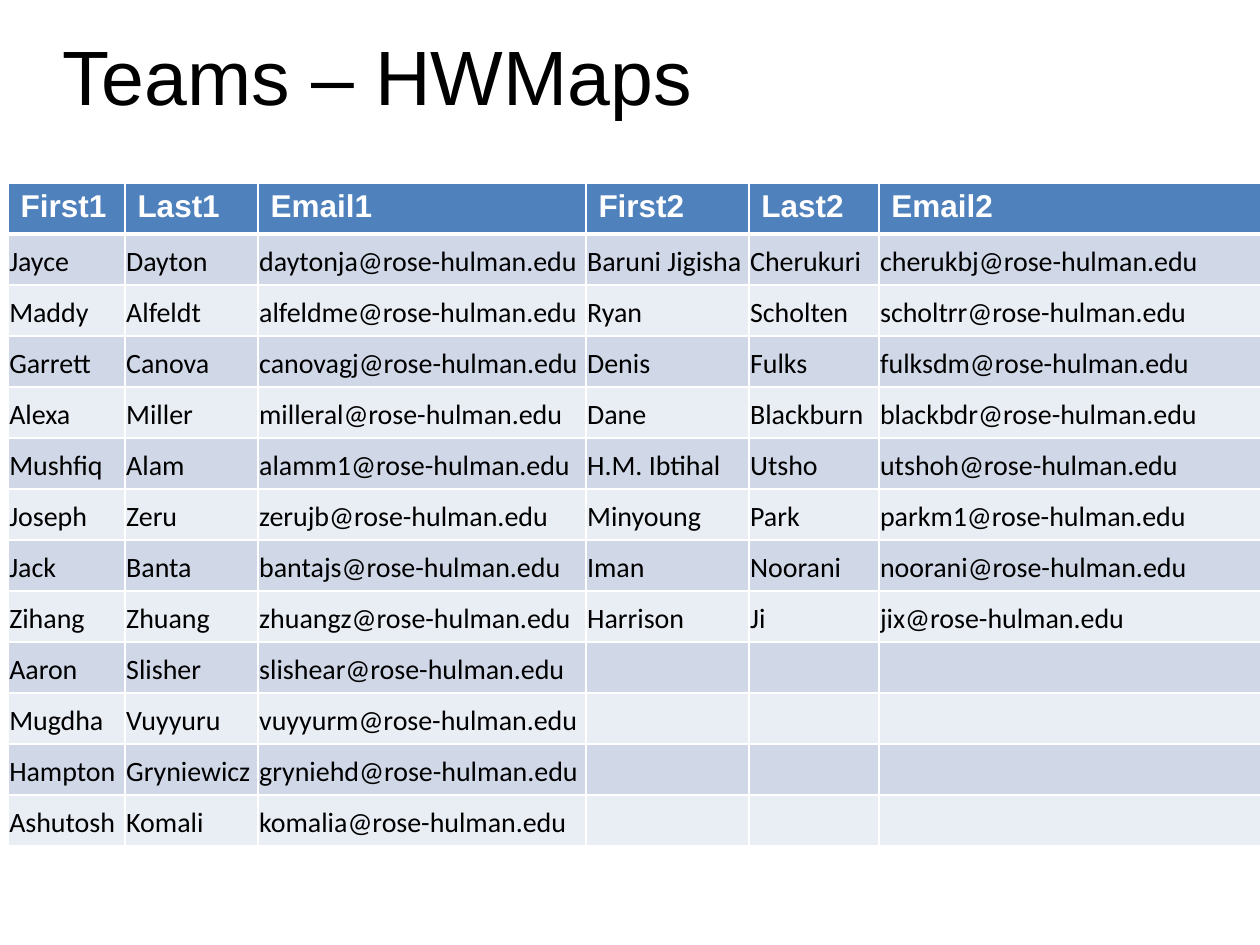
from pptx import Presentation
from pptx.dml.color import RGBColor
from pptx.enum.text import MSO_ANCHOR
from pptx.oxml import parse_xml
from pptx.oxml.ns import nsdecls
from pptx.util import Pt

SCALE = 914400 // 126
BLACK = RGBColor(0x00, 0x00, 0x00)
WHITE = RGBColor(0xFF, 0xFF, 0xFF)
BLUE = RGBColor(0x4F, 0x81, 0xBD)
BANDS = [RGBColor(0xD0, 0xD8, 0xE8), RGBColor(0xE9, 0xED, 0xF4)]

TITLE = {"name": "Arial", "size": Pt(44), "bold": False}
HEAD = {"name": "Arial", "size": Pt(18), "bold": True}
BODY = {"name": "Calibri", "size": Pt(16), "bold": False}
FRAME = {"margin_left": 0, "margin_top": 0, "margin_right": 0, "margin_bottom": 0,
         "vertical_anchor": MSO_ANCHOR.MIDDLE, "word_wrap": True}
INSET = {"margin_left": Pt(0.75), "margin_top": Pt(0.75), "margin_right": Pt(0.75),
         "margin_bottom": Pt(3.6), "vertical_anchor": MSO_ANCHOR.BOTTOM}

WIDTHS = [117, 133, 328, 163, 130, 382]
HEIGHT = 51
LABELS = ["First1", "Last1", "Email1", "First2", "Last2", "Email2"]
DOMAIN = "@rose-hulman.edu"
TEAMS = [
    ("Jayce", "Dayton", "daytonja", "Baruni Jigisha", "Cherukuri", "cherukbj"),
    ("Maddy", "Alfeldt", "alfeldme", "Ryan", "Scholten", "scholtrr"),
    ("Garrett", "Canova", "canovagj", "Denis", "Fulks", "fulksdm"),
    ("Alexa", "Miller", "milleral", "Dane", "Blackburn", "blackbdr"),
    ("Mushfiq", "Alam", "alamm1", "H.M. Ibtihal", "Utsho", "utshoh"),
    ("Joseph", "Zeru", "zerujb", "Minyoung", "Park", "parkm1"),
    ("Jack", "Banta", "bantajs", "Iman", "Noorani", "noorani"),
    ("Zihang", "Zhuang", "zhuangz", "Harrison", "Ji", "jix"),
    ("Aaron", "Slisher", "slishear"),
    ("Mugdha", "Vuyyuru", "vuyyurm"),
    ("Hampton", "Gryniewicz", "gryniehd"),
    ("Ashutosh", "Komali", "komalia"),
]


def px(count):
    return count * SCALE


def apply(target, values):
    for key, value in values.items():
        setattr(target, key, value)


def write(frame, text, font, color):
    line = frame.paragraphs[0]
    run = line.add_run()
    run.text = text
    apply(run.font, font)
    run.font.color.rgb = color
    return line


def add_title(slide, text):
    box = slide.shapes.add_textbox(px(63), px(2), px(1134), px(158))
    apply(box.text_frame, FRAME)
    write(box.text_frame, text, TITLE, BLACK).line_spacing = 0.9


def add_edges(cell, top, bottom):
    props = cell._tc.get_or_add_tcPr()
    for side, width in {"L": 1, "R": 1, "T": top, "B": bottom}.items():
        props.append(parse_xml(
            f'<a:ln{side} {nsdecls("a")} w="{Pt(width)}"><a:solidFill>'
            f'<a:srgbClr val="{WHITE}"/></a:solidFill></a:ln{side}>'))


def paint(cell, color, top=1, bottom=1):
    add_edges(cell, top, bottom)
    cell.fill.solid()
    cell.fill.fore_color.rgb = color


def fill_head(table):
    for col, label in enumerate(LABELS):
        cell = table.cell(0, col)
        paint(cell, BLUE, bottom=3)
        write(cell.text_frame, label, HEAD, WHITE)


def fill_body(table):
    for row, team in enumerate(TEAMS, 1):
        for col in range(len(LABELS)):
            cell = table.cell(row, col)
            paint(cell, BANDS[(row - 1) % 2], top=3 if row == 1 else 1)
            if col < len(team):
                apply(cell, INSET)
                text = team[col] + (DOMAIN if col % 3 == 2 else "")
                write(cell.text_frame, text, BODY, BLACK)


def add_teams(slide):
    count = len(TEAMS) + 1
    table = slide.shapes.add_table(count, len(WIDTHS), px(8), px(183),
                                   px(sum(WIDTHS)), px(HEIGHT * count)).table
    for col, width in zip(table.columns, WIDTHS):
        col.width = px(width)
    for row in table.rows:
        row.height = px(HEIGHT)
    fill_head(table)
    fill_body(table)


def main():
    deck = Presentation()
    apply(deck, {"slide_width": px(1260), "slide_height": px(945)})
    slide = deck.slides.add_slide(deck.slide_layouts[6])
    add_title(slide, "Teams – HWMaps")
    add_teams(slide)
    deck.save("out.pptx")


if __name__ == "__main__":
    main()
